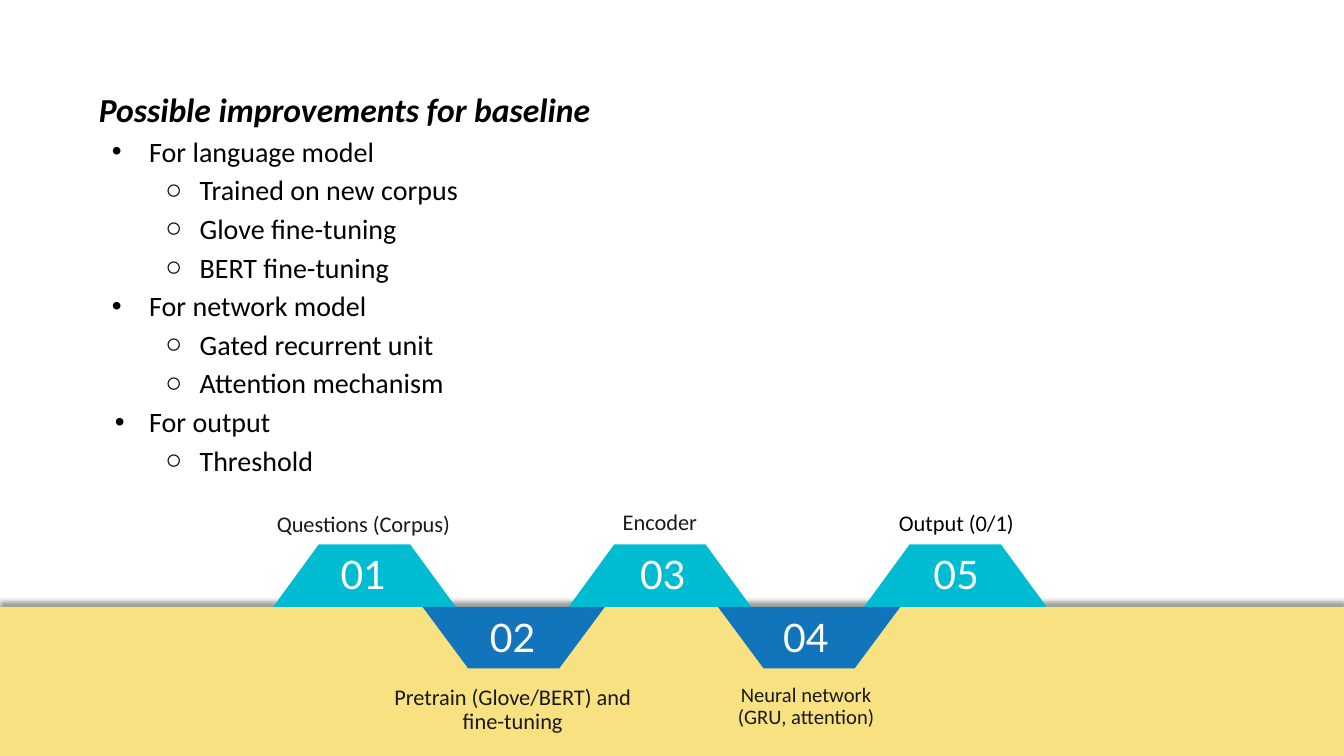
import pptx
import pptx.util
import pptx.dml.color
import pptx.enum.shapes
import pptx.enum.text
import pptx.oxml
import pptx.oxml.ns

Inches = pptx.util.Inches
Pt = pptx.util.Pt
RGBColor = pptx.dml.color.RGBColor

BLACK = RGBColor(0x00, 0x00, 0x00)
WHITE = RGBColor(0xFF, 0xFF, 0xFF)
DARK = RGBColor(0x19, 0x19, 0x19)
SAND = RGBColor(0xF7, 0xE1, 0x80)
CYAN = RGBColor(0x00, 0xBC, 0xD2)
BLUE = RGBColor(0x12, 0x74, 0xBB)

HEADING = "Possible improvements for baseline"
# level, hanging indent, text
POINTS = [
    (0, 0.37, "For language model"),
    (1, 0.34, "Trained on new corpus"),
    (1, 0.34, "Glove fine-tuning"),
    (1, 0.34, "BERT fine-tuning"),
    (0, 0.37, "For network model"),
    (1, 0.34, "Gated recurrent unit"),
    (1, 0.34, "Attention mechanism"),
    (0, 0.34, "For output"),
    (1, 0.34, "Threshold"),
]
# number left, label left, label top, height, size, line spacing, colour, lines
STEPS = [
    (3.28, 2.14, 5.04, 0.36, 16, 0.89, DARK, ["Questions (Corpus)"]),
    (4.76, 3.62, 6.76, 0.67, 16, 0.89, DARK,
     ["Pretrain (Glove/BERT) and fine-tuning"]),
    (6.25, 5.08, 5.02, 0.36, 16, 0.89, DARK, ["Encoder"]),
    (7.67, 6.53, 6.75, 0.67, 14.7, 0.89, DARK,
     ["Neural network", "(GRU, attention)"]),
    (9.16, 8.02, 5.0, 0.39, 16, 1.0, BLACK, ["Output (0/1)"]),
]


def style(par, name, size, color):
    par.font.name = name
    par.font.size = Pt(size)
    par.font.color.rgb = color


def add_bullet(par, level, hang):
    props = par._p.get_or_add_pPr()
    props.set("marL", str(Inches(0.5 * (level + 1))))
    props.set("indent", str(-Inches(hang)))
    space = pptx.oxml.ns.nsdecls("a")
    for xml in (f'<a:buClr {space}><a:srgbClr val="{BLACK}"/></a:buClr>',
                f'<a:buChar {space} char="{"•○"[level]}"/>'):
        props.append(pptx.oxml.parse_xml(xml))


def fill_body(body, left, top, width, height):
    body.left, body.top = Inches(left), Inches(top)
    body.width, body.height = Inches(width), Inches(height)
    frame = body.text_frame
    frame.auto_size = pptx.enum.text.MSO_AUTO_SIZE.NONE
    frame.vertical_anchor = pptx.enum.text.MSO_ANCHOR.TOP
    head = frame.paragraphs[0]
    head.text = HEADING
    head.line_spacing = 1.5
    head.space_before = Pt(0)
    style(head, "Calibri", 24, BLACK)
    head.font.bold = head.font.italic = True
    props = head._p.get_or_add_pPr()
    props.set("marL", "0")
    props.set("indent", "0")
    props.append(pptx.oxml.parse_xml(
        f'<a:buNone {pptx.oxml.ns.nsdecls("a")}/>'))
    for level, hang, text in POINTS:
        par = frame.add_paragraph()
        par.text = text
        par.level = level
        par.line_spacing = 1.15
        par.space_before = Pt(0)
        style(par, "Calibri", 20, BLACK)
        add_bullet(par, level, hang)


def add_band(slide, left, top, width, height):
    """Add the ground, with a soft shadow along its top edge."""
    band = slide.shapes.add_shape(
        pptx.enum.shapes.MSO_SHAPE.RECTANGLE,
        Inches(left), Inches(top), Inches(width), Inches(height))
    band.fill.solid()
    band.fill.fore_color.rgb = SAND
    band.line.fill.background()
    band.shadow.inherit = False
    effects = band._element.spPr.find(pptx.oxml.ns.qn("a:effectLst"))
    effects.append(pptx.oxml.parse_xml(
        f'<a:outerShdw {pptx.oxml.ns.nsdecls("a")} blurRad="{Pt(4)}" '
        f'dist="{Pt(3)}" dir="16200000" rotWithShape="0">'
        '<a:srgbClr val="000000"><a:alpha val="40000"/></a:srgbClr>'
        '</a:outerShdw>'))


def add_wedge(slide, left, base, width, rise, color):
    """Add a trapezoid on the base line; a negative rise points down."""
    slant = width / 4
    ridge = base - rise
    start = slide.shapes.build_freeform(Inches(left), Inches(base))
    start.add_line_segments([
        (Inches(left + slant), Inches(ridge)),
        (Inches(left + width - slant), Inches(ridge)),
        (Inches(left + width), Inches(base))])
    wedge = start.convert_to_shape()
    wedge.fill.solid()
    wedge.fill.fore_color.rgb = color
    wedge.line.fill.background()
    wedge.shadow.inherit = False


def add_text(slide, left, top, width, height, lines, name, size, color):
    box = slide.shapes.add_textbox(
        Inches(left), Inches(top), Inches(width), Inches(height))
    frame = box.text_frame
    frame.word_wrap = True
    frame.text = "\n".join(lines)
    for par in frame.paragraphs:
        style(par, name, size, color)
    return frame


def add_label(slide, left, top, height, size, spacing, color, lines):
    frame = add_text(slide, left, top, 2.93, height, lines,
                     "Calibri", size, color)
    frame.margin_left = frame.margin_right = Inches(0.27)
    frame.margin_bottom = Inches(0.07)
    for par in frame.paragraphs:
        par.alignment = pptx.enum.text.PP_ALIGN.CENTER
        par.line_spacing = spacing


def add_flow(slide, left, base):
    """Add the numbered steps, in turn above and below the base line."""
    for index, (num_left, *label) in enumerate(STEPS):
        pair, below = divmod(index, 2)
        add_wedge(slide, left + 2.93 * pair + 1.48 * below, base, 1.81,
                  -0.61 if below else 0.62, BLUE if below else CYAN)
        add_text(slide, num_left, base + (0.02 if below else -0.61),
                 0.66, 0.57, [f"{index + 1:02}"], "Lato", 28, WHITE)
        add_label(slide, *label)


def main():
    deck = pptx.Presentation()
    deck.slide_width, deck.slide_height = Inches(13.33), Inches(7.5)
    slide = deck.slides.add_slide(deck.slide_layouts[1])
    title = slide.shapes.title
    title._element.getparent().remove(title._element)
    add_band(slide, 0, 6.02, 13.33, 2.49)
    add_flow(slide, 2.71, 6.02)
    fill_body(slide.placeholders[1], 0.88, 0.63, 11.33, 4.25)
    deck.save("out.pptx")


if __name__ == "__main__":
    main()
